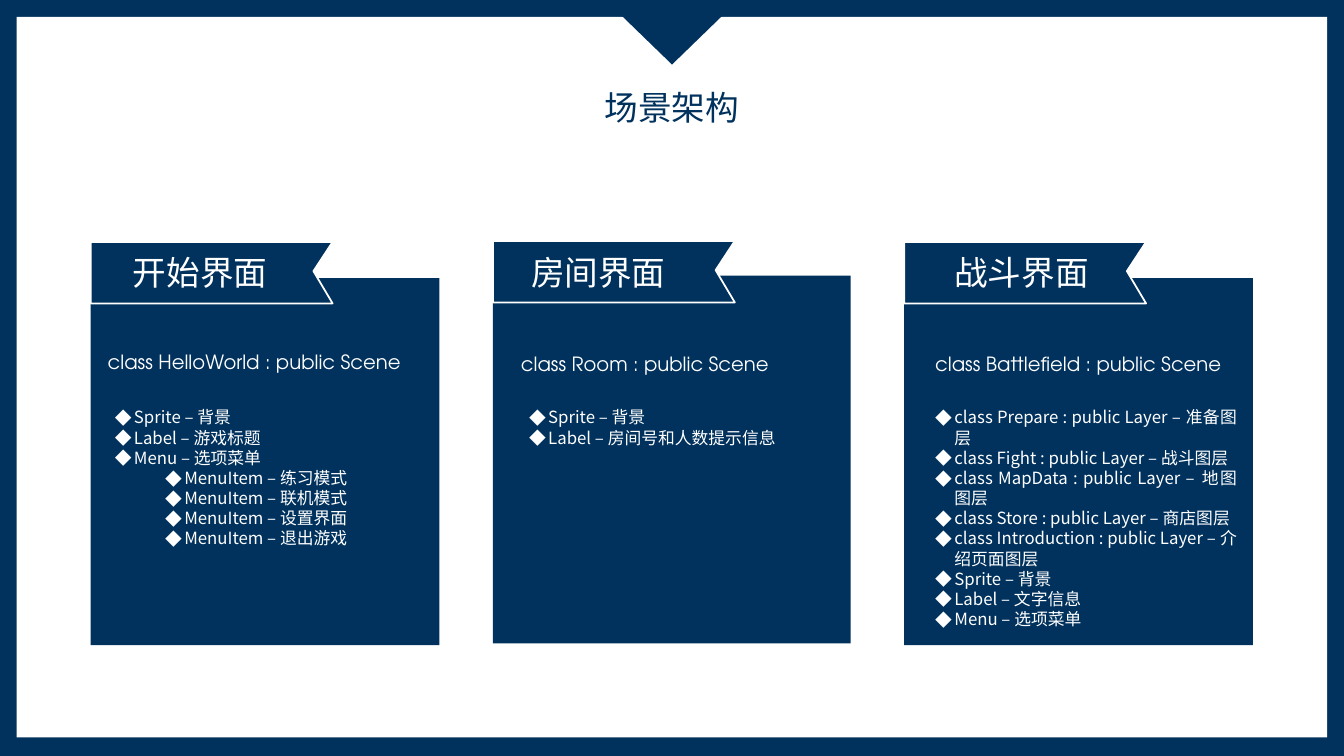
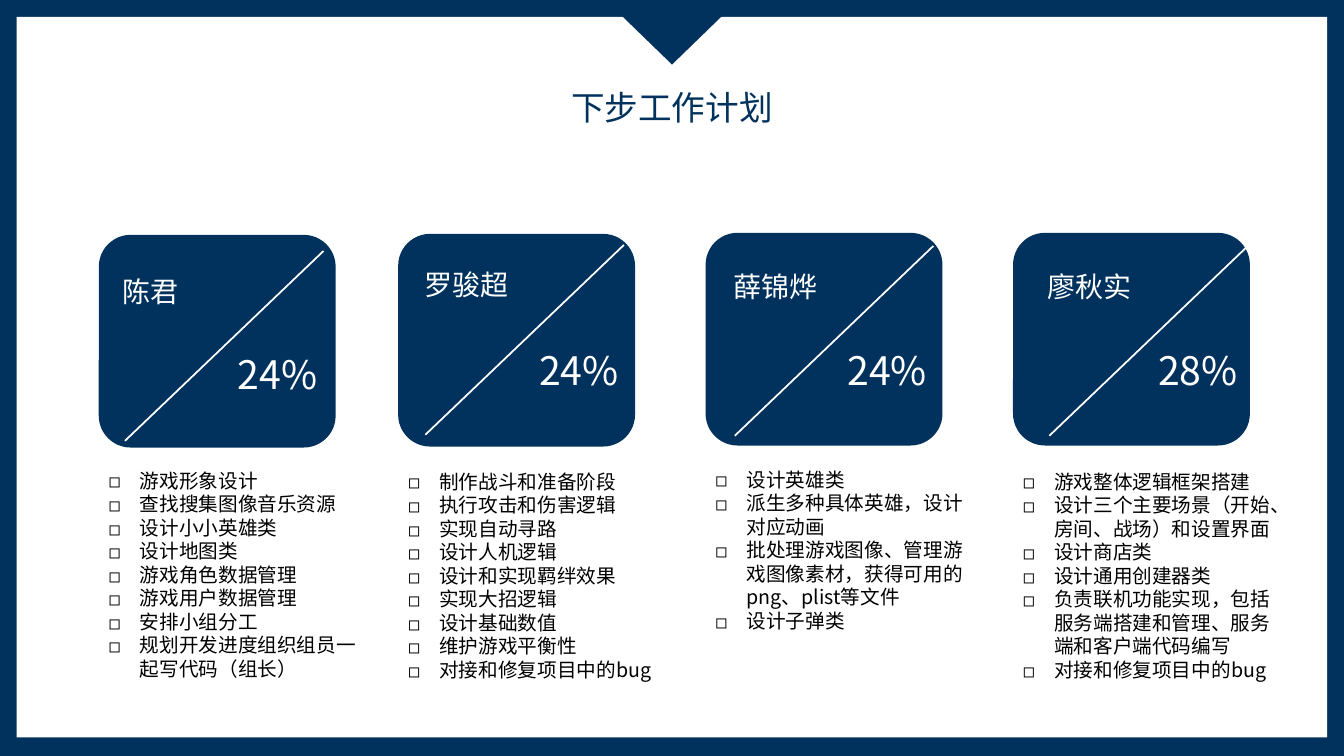
import pptx
import pptx.util
import pptx.dml.color
import pptx.enum.shapes
import pptx.enum.text
import pptx.oxml.ns
import lxml.etree

COLORS = {"navy": "00325D", "white": "FFFFFF", "black": "000000"}
SANS = "Noto Sans CJK SC"
GEOMETRIC = "TeX Gyre Adventor"
KIND = pptx.enum.shapes.MSO_SHAPE
ALIGN = pptx.enum.text.PP_ALIGN
RGB = pptx.dml.color.RGBColor.from_string
qn = pptx.oxml.ns.qn

deck = pptx.Presentation()
deck.slide_width = pptx.util.Inches(40 / 3)
deck.slide_height = pptx.util.Inches(7.5)
CELL = deck.slide_height // 45
COLUMNS, ROWS = 80, 45


def block(slide, kind, cells, color="navy"):
    shape = slide.shapes.add_shape(kind, *[round(c * CELL) for c in cells])
    shape.shadow.inherit = False
    shape.fill.solid()
    shape.fill.fore_color.rgb = RGB(COLORS[color])
    shape.line.fill.background()
    return shape


def write(slide, lines, cells, size, color="white", font=SANS, align=ALIGN.LEFT,
          wrap=True, bullet=None, hang=0, nested=(), holder=None):
    holder = holder or slide.shapes.add_textbox(0, 0, 0, 0)
    holder.left, holder.top, holder.width, holder.height = [round(c * CELL) for c in cells]
    frame = holder.text_frame
    frame.word_wrap = wrap
    frame.vertical_anchor = pptx.enum.text.MSO_ANCHOR.TOP
    frame.auto_size = pptx.enum.text.MSO_AUTO_SIZE.SHAPE_TO_FIT_TEXT
    leveled = [(0, line) for line in lines] + [(1, line) for line in nested]
    for index, (level, line) in enumerate(leveled):
        paragraph = frame.add_paragraph() if index else frame.paragraphs[0]
        paragraph.alignment = align
        if level:
            paragraph.level = level
        if bullet:
            properties = paragraph._p.get_or_add_pPr()
            properties.set("marL", str(pptx.util.Inches(hang + level * 0.5)))
            properties.set("indent", str(-pptx.util.Inches(hang)))
            lxml.etree.SubElement(properties, qn("a:buFont")).set("typeface", SANS)
            lxml.etree.SubElement(properties, qn("a:buChar")).set("char", bullet)
        run = paragraph.add_run()
        run.text = line
        run.font.size = pptx.util.Pt(size)
        run.font.name = font
        run.font.color.rgb = RGB(COLORS[color])
        lxml.etree.SubElement(run._r.get_or_add_rPr(), qn("a:ea")).set("typeface", font)


slides = []
for heading in ("场景架构", "下步工作计划"):
    slide = deck.slides.add_slide(deck.slide_layouts[5])
    block(slide, KIND.RECTANGLE, (0, 0, COLUMNS, ROWS))
    panel = block(slide, KIND.RECTANGLE, (1, 1, COLUMNS - 2, ROWS - 2.1), "white")
    panel._element.addnext(slide.shapes.title._element)
    write(slide, [heading], (33.3, 4.86, 13.4, 3), 24, "navy",
          align=ALIGN.CENTER, holder=slide.shapes.title)
    block(slide, KIND.ISOSCELES_TRIANGLE, (36.04, 0, 7.92, 3.84)).rotation = 180
    slides.append(slide)
scene_slide, plan_slide = slides

scenes = [
    {"name": "开始界面", "class": "class HelloWorld : public Scene",
     "card": (5.4, 16.56, 20.76, 21.84), "ribbon_top": 14.4,
     "name_left": 7.32, "class_at": (5.82, 20.52), "list_left": 6.24, "list_rows": 9.06,
     "parts": ["Sprite – 背景", "Label – 游戏标题", "Menu – 选项菜单"],
     "menu": ["MenuItem – 练习模式", "MenuItem – 联机模式",
              "MenuItem – 设置界面", "MenuItem – 退出游戏"]},
    {"name": "房间界面", "class": "class Room : public Scene",
     "card": (29.34, 16.4, 21.3, 21.9), "ribbon_top": 14.34,
     "name_left": 31.02, "class_at": (30.42, 20.64), "list_left": 30.9, "list_rows": 3,
     "parts": ["Sprite – 背景", "Label – 房间号和人数提示信息"],
     "menu": []},
    {"name": "战斗界面", "class": "class Battlefield : public Scene",
     "card": (53.82, 16.56, 20.76, 21.84), "ribbon_top": 14.4,
     "name_left": 56.22, "class_at": (55.08, 20.64), "list_left": 55.08, "list_rows": 13.92,
     "parts": ["class Prepare : public Layer – 准备图层",
               "class Fight : public Layer – 战斗图层",
               "class MapData : public Layer – 地图图层",
               "class Store : public Layer – 商店图层",
               "class Introduction : public Layer – 介绍页面图层",
               "Sprite – 背景", "Label – 文字信息", "Menu – 选项菜单"],
     "menu": []},
]
RIBBON = [(0, 0), (14.4, 0), (13.26, 1.74), (14.4, 3.66), (0, 3.66)]

for scene in scenes:
    block(scene_slide, KIND.RECTANGLE, scene["card"])
    corners = [(round((scene["card"][0] + x) * CELL), round((scene["ribbon_top"] + y) * CELL))
               for x, y in RIBBON]
    outline = scene_slide.shapes.build_freeform(*corners[0])
    outline.add_line_segments(corners[1:], close=True)
    ribbon = outline.convert_to_shape()
    ribbon.shadow.inherit = False
    ribbon.fill.solid()
    ribbon.fill.fore_color.rgb = RGB(COLORS["navy"])
    ribbon.line.color.rgb = RGB(COLORS["white"])
    ribbon.line.width = pptx.util.Pt(1.25)
    write(scene_slide, [scene["name"]], (scene["name_left"], 14.7, 9.3, 3), 24, wrap=False)
    write(scene_slide, [scene["class"]], (*scene["class_at"], 19.86, 2.04), 14, font=GEOMETRIC)
    write(scene_slide, scene["parts"], (scene["list_left"], 23.94, 19.14, scene["list_rows"]), 12,
          align=ALIGN.JUSTIFY, bullet="◆", hang=0.19, nested=scene["menu"])

members = [
    {"name": "陈君", "share": "24%", "tile": (5.88, 13.98), "slash": (19.26, 14.94),
     "name_at": (6.72, 16.02, 4.56), "share_at": (13.56, 20.58), "list": (27.6, 16.86),
     "tasks": ["游戏形象设计", "查找搜集图像音乐资源", "设计小小英雄类", "设计地图类",
               "游戏角色数据管理", "游戏用户数据管理", "安排小组分工",
               "规划开发进度组织组员一起写代码（组长）"]},
    {"name": "罗骏超", "share": "24%", "tile": (23.7, 13.92), "slash": (37.14, 14.58),
     "name_at": (24.66, 15.6, 6.24), "share_at": (31.5, 20.34), "list": (27.66, 14.04),
     "tasks": ["制作战斗和准备阶段", "执行攻击和伤害逻辑", "实现自动寻路", "设计人机逻辑",
               "设计和实现羁绊效果", "实现大招逻辑", "设计基础数值", "维护游戏平衡性",
               "对接和修复项目中的bug"]},
    {"name": "薛锦烨", "share": "24%", "tile": (42, 13.86), "slash": (55.56, 14.64),
     "name_at": (43.08, 15.72, 6.24), "share_at": (49.86, 20.34), "list": (27.54, 15.42),
     "tasks": ["设计英雄类", "派生多种具体英雄，设计对应动画",
               "批处理游戏图像、管理游戏图像素材，获得可用的png、plist等文件",
               "设计子弹类"]},
    {"name": "廖秋实", "share": "28%", "tile": (60.3, 13.86), "slash": (74.28, 14.64),
     "name_at": (61.74, 15.72, 6.24), "share_at": (68.34, 20.34), "list": (27.66, 15),
     "tasks": ["游戏整体逻辑框架搭建", "设计三个主要场景（开始、房间、战场）和设置界面",
               "设计商店类", "设计通用创建器类",
               "负责联机功能实现，包括服务端搭建和管理、服务端和客户端代码编写",
               "对接和修复项目中的bug"]},
]

for member in members:
    tile = block(plan_slide, KIND.ROUNDED_RECTANGLE, (*member["tile"], 14.1, 12.66))
    tile.adjustments[0] = 0.15
    right, top = member["slash"]
    slash = plan_slide.shapes.add_connector(
        pptx.enum.shapes.MSO_CONNECTOR.STRAIGHT,
        *[round(c * CELL) for c in (right, top, right - 11.82, top + 11.3)])
    slash.line.color.rgb = RGB(COLORS["white"])
    slash.line.width = pptx.util.Pt(1.25)
    lxml.etree.SubElement(slash._element.spPr, qn("a:effectLst"))
    write(plan_slide, [member["name"]], (*member["name_at"], 2.64), 20, wrap=False)
    write(plan_slide, [member["share"]], (*member["share_at"], 5.94, 3.42), 28, wrap=False)
    list_top, list_rows = member["list"]
    write(plan_slide, member["tasks"], (member["tile"][0], list_top, 17.04, list_rows), 14,
          "black", bullet="◻", hang=0.31)

deck.save("out.pptx")
